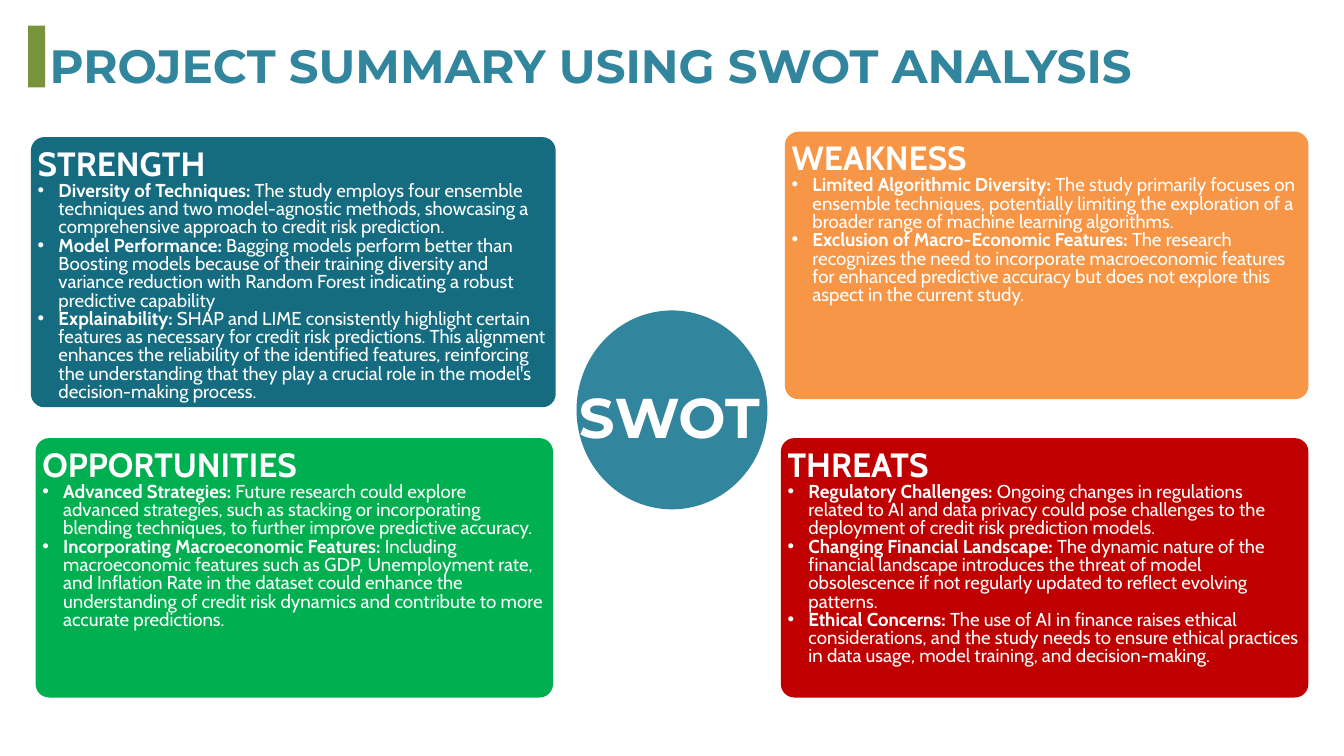
from dataclasses import dataclass
from lxml.etree import SubElement
from pptx import Presentation
from pptx.dml.color import RGBColor
from pptx.enum.shapes import MSO_SHAPE
from pptx.enum.text import MSO_ANCHOR, MSO_AUTO_SIZE, PP_ALIGN
from pptx.oxml.ns import qn
from pptx.util import Inches, Pt


@dataclass(frozen=True)
class Theme:
    white: str = "FFFFFF"
    accent: str = "31859C"
    marker: str = "77933C"
    strength: str = "156C80"
    weakness: str = "F79646"
    opportunities: str = "00B050"
    threats: str = "C00000"
    display_font: str = "Montserrat"
    body_font: str = "Cabin"
    title_size: float = 50
    hub_size: float = 60
    heading_size: float = 36
    body_size: float = 20


theme = Theme()


def write(para, text, font=theme.body_font, size=theme.body_size, color=theme.white,
          bold=False, align=PP_ALIGN.LEFT, spacing=19.6, bullet=False):
    para.alignment = align
    para.line_spacing = Pt(spacing)
    para.space_before = para.space_after = Pt(0)
    span = para.add_run()
    span.text = text
    span.font.name = font
    span.font.size = Pt(size)
    span.font.bold = bold
    span.font.color.rgb = RGBColor.from_string(color)
    if bullet:
        properties = para._p.get_or_add_pPr()
        properties.set("marL", str(Inches(0.31)))
        properties.set("indent", str(Inches(-0.31)))
        SubElement(properties, qn("a:buFont")).set("typeface", "Arial")
        SubElement(properties, qn("a:buChar")).set("char", "•")


def add_block(kind, left, top, width, height, color):
    block = page.shapes.add_shape(kind, Inches(left), Inches(top), Inches(width), Inches(height))
    block.fill.solid()
    block.fill.fore_color.rgb = RGBColor.from_string(color)
    block.line.fill.background()
    block.shadow.inherit = False
    return block


deck = Presentation()
deck.slide_width = Inches(20)
deck.slide_height = Inches(11.25)
page = deck.slides.add_slide(deck.slide_layouts[5])

panels = [
    ("STRENGTH", theme.strength, (0.46, 2.04, 7.81, 4.02), [
        ("Diversity of Techniques: ", "The study employs four ensemble techniques and two model-agnostic methods, showcasing a comprehensive approach to credit risk prediction."),
        ("Model Performance: ", "Bagging models perform better than Boosting models because of their training diversity and variance reduction with Random Forest indicating a robust predictive capability"),
        ("Explainability: ", "SHAP and LIME consistently highlight certain features as necessary for credit risk predictions. This alignment enhances the reliability of the identified features, reinforcing the understanding that they play a crucial role in the model's decision-making process."),
    ]),
    ("WEAKNESS", theme.weakness, (11.68, 1.96, 7.79, 3.98), [
        ("Limited Algorithmic Diversity: ", "The study primarily focuses on ensemble techniques, potentially limiting the exploration of a broader range of machine learning algorithms."),
        ("Exclusion of Macro-Economic Features: ", "The research recognizes the need to incorporate macroeconomic features for enhanced predictive accuracy but does not explore this aspect in the current study."),
    ]),
    ("OPPORTUNITIES", theme.opportunities, (0.53, 6.52, 7.7, 3.86), [
        ("Advanced Strategies: ", "Future research could explore advanced strategies, such as stacking or incorporating blending techniques, to further improve predictive accuracy."),
        ("Incorporating Macroeconomic Features: ", "Including macroeconomic features such as GDP, Unemployment rate, and Inflation Rate in the dataset could enhance the understanding of credit risk dynamics and contribute to more accurate predictions."),
    ]),
    ("THREATS", theme.threats, (11.62, 6.52, 7.85, 3.86), [
        ("Regulatory Challenges: ", "Ongoing changes in regulations related to AI and data privacy could pose challenges to the deployment of credit risk prediction models."),
        ("Changing Financial Landscape: ", "The dynamic nature of the financial landscape introduces the threat of model obsolescence if not regularly updated to reflect evolving patterns."),
        ("Ethical Concerns: ", "The use of AI in finance raises ethical considerations, and the study needs to ensure ethical practices in data usage, model training, and decision-making."),
    ]),
]

corner = 0.2
corner_inset = corner * 0.29
for heading, color, bounds, points in panels:
    panel = add_block(MSO_SHAPE.ROUNDED_RECTANGLE, *bounds, color)
    panel.adjustments[0] = corner / bounds[3]
    frame = panel.text_frame
    frame.word_wrap = True
    frame.vertical_anchor = MSO_ANCHOR.TOP
    frame.margin_left = frame.margin_right = Inches(0.1 - corner_inset)
    frame.margin_top = frame.margin_bottom = Inches(max(0, 0.05 - corner_inset))
    write(frame.paragraphs[0], heading, size=theme.heading_size, bold=True, spacing=44.8)
    for label, detail in points:
        para = frame.add_paragraph()
        write(para, label, bold=True, bullet=True)
        write(para, detail)

add_block(MSO_SHAPE.OVAL, 8.58, 4.62, 2.84, 2.96, theme.accent)
add_block(MSO_SHAPE.RECTANGLE, 0.42, 0.38, 0.25, 0.92, theme.marker)

hub = page.shapes.add_textbox(Inches(8.42), Inches(5.94), Inches(3.08), Inches(0.8))
title = page.shapes.title
title.left, title.top, title.width, title.height = map(Inches, (0.74, 0.22, 18.52, 1.01))
for box in (hub, title):
    frame = box.text_frame
    frame.word_wrap = True
    frame.auto_size = MSO_AUTO_SIZE.NONE
    frame.vertical_anchor = MSO_ANCHOR.TOP
    frame.margin_left = frame.margin_right = frame.margin_top = frame.margin_bottom = 0

write(hub.text_frame.paragraphs[0], "SWOT", font=theme.display_font, size=theme.hub_size,
      bold=True, align=PP_ALIGN.CENTER, spacing=54.6)
write(title.text_frame.paragraphs[0], "PROJECT SUMMARY USING SWOT ANALYSIS", font=theme.display_font,
      size=theme.title_size, color=theme.accent, bold=True, spacing=83.1)

deck.save("out.pptx")
